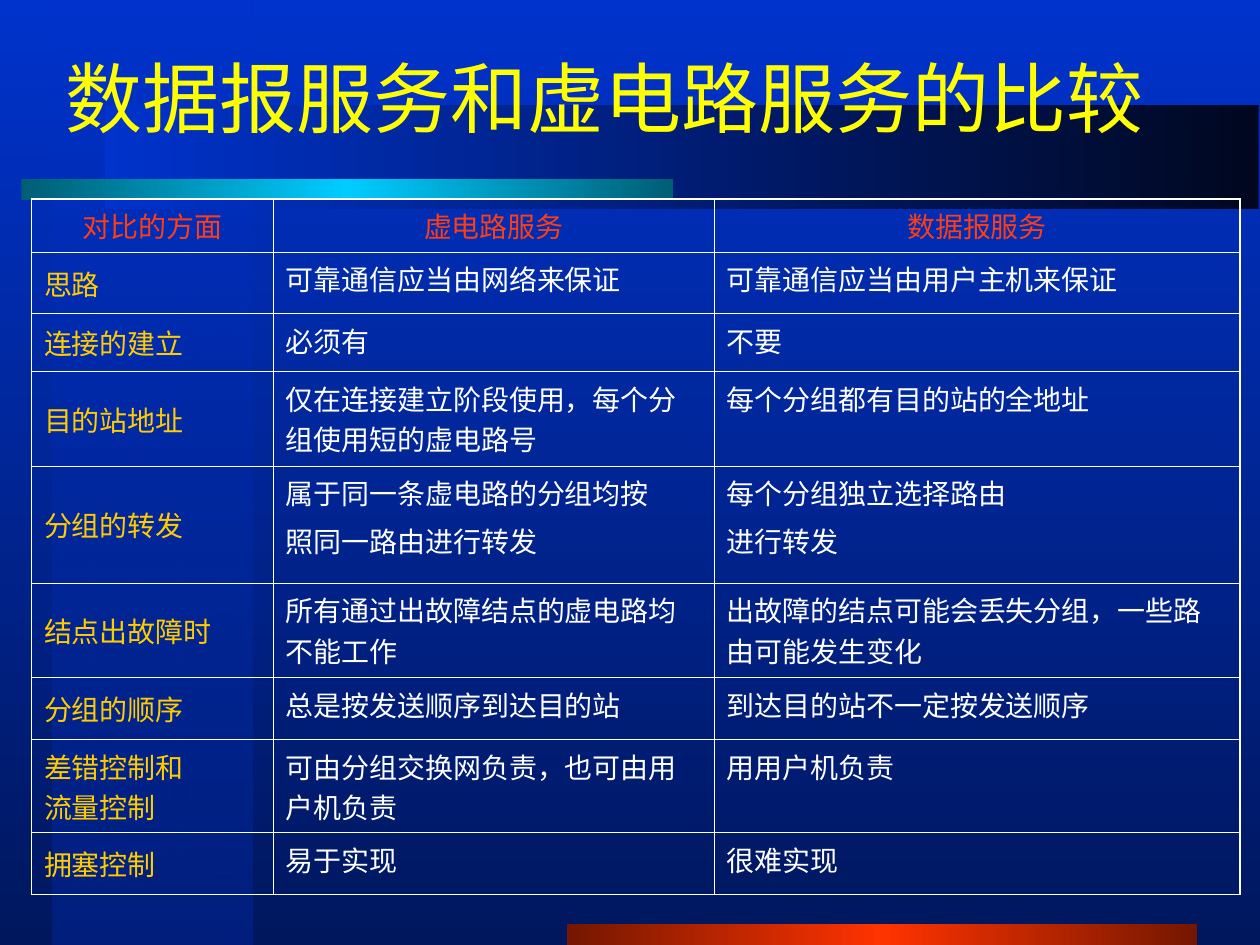
from lxml import etree
from pptx import Presentation
from pptx.dml.color import RGBColor
from pptx.enum.shapes import MSO_SHAPE
from pptx.enum.text import MSO_ANCHOR, PP_ALIGN
from pptx.oxml.ns import qn
from pptx.util import Inches, Pt

RECT = MSO_SHAPE.RECTANGLE
TOP, MIDDLE = MSO_ANCHOR.TOP, MSO_ANCHOR.MIDDLE
LEFT, CENTER = PP_ALIGN.LEFT, PP_ALIGN.CENTER
FONT = "Times New Roman"
BLUE, NAVY, WHITE = "0033CC", "00175E", "FFFFFF"
OUTER, INNER = 1.08, 0.45

BARS = [
    ((0.42, 0, 1.58, 7.5), [(0, BLUE, 50), (100, "001F7D", 100)], 270),
    ((4.5, 7.33, 5, 0.17),
     [(0, "751700", 100), (50, "FF3300", 100), (100, "751700", 100)], 180),
    ((0.83, 0.83, 9.16, 0.83), [(0, "00071F", 100), (100, BLUE, 100)], 180),
    ((0.17, 1.42, 5.17, 0.17),
     [(0, "005E75", 100), (50, "00CCFF", 100), (100, "005E75", 100)], 180),
]
COLUMNS = [1.92, 3.5, 4.17]
ROW_HEIGHTS = [0.42, 0.49, 0.46, 0.75, 0.93, 0.75, 0.49, 0.74, 0.49]
ROWS = [
    ("对比的方面", "虚电路服务", "数据报服务"),
    ("思路", "可靠通信应当由网络来保证", "可靠通信应当由用户主机来保证"),
    ("连接的建立", "必须有", "不要"),
    ("目的站地址", "仅在连接建立阶段使用，每个分组使用短的虚电路号",
     "每个分组都有目的站的全地址"),
    ("分组的转发", "属于同一条虚电路的分组均按\n照同一路由进行转发",
     "每个分组独立选择路由\n进行转发"),
    ("结点出故障时", "所有通过出故障结点的虚电路均不能工作",
     "出故障的结点可能会丢失分组，一些路由可能发生变化"),
    ("分组的顺序", "总是按发送顺序到达目的站", "到达目的站不一定按发送顺序"),
    ("差错控制和\n流量控制", "可由分组交换网负责，也可由用户机负责", "用用户机负责"),
    ("拥塞控制", "易于实现", "很难实现"),
]
HEADER = {"color": "FC3E18", "align": CENTER, "anchor": MIDDLE, "gap": 0}
ASPECT = {"color": "FFCC00", "align": LEFT, "anchor": MIDDLE, "gap": 0}
BODY = {"color": WHITE, "align": LEFT, "anchor": TOP, "gap": 4}


def rgb(value):
    return RGBColor.from_string(value)


def set_gradient(fill, holder, stops, angle):
    fill.gradient()
    fill.gradient_angle = angle
    stop_list = holder.find(".//" + qn("a:gsLst"))
    for stop in list(stop_list):
        stop_list.remove(stop)
    for position, color, opacity in stops:
        gs = etree.SubElement(stop_list, qn("a:gs"), pos=str(position * 1000))
        clr = etree.SubElement(gs, qn("a:srgbClr"), val=str(rgb(color)))
        if opacity < 100:
            etree.SubElement(clr, qn("a:alpha"), val=str(opacity * 1000))


def format_font(p, size, color):
    for name, value in {"name": FONT, "size": Pt(size), "bold": False}.items():
        setattr(p.font, name, value)
    p.font.color.rgb = rgb(color)


def add_backdrop(s):
    set_gradient(s.background.fill, s.element,
                 [(0, BLUE, 100), (100, NAVY, 100)], 270)
    for box, stops, angle in BARS:
        sp = s.shapes.add_shape(RECT, *map(Inches, box))
        sp.shadow.inherit = False
        sp.line.fill.background()
        set_gradient(sp.fill, sp.element, stops, angle)


def add_title(s, box, text):
    tf = s.shapes.add_textbox(*map(Inches, box)).text_frame
    for name, value in {"word_wrap": True, "vertical_anchor": MIDDLE}.items():
        setattr(tf, name, value)
    tf.text = text
    format_font(tf.paragraphs[0], 44, "FFFF01")


def set_borders(cell, widths):
    tc_pr = cell._tc.get_or_add_tcPr()
    for index, (side, width) in enumerate(widths.items()):
        ln = etree.Element(qn("a:ln" + side), w=str(int(Pt(width))))
        fill = etree.SubElement(ln, qn("a:solidFill"))
        etree.SubElement(fill, qn("a:srgbClr"), val=str(rgb(WHITE)))
        tc_pr.insert(index, ln)


def fill_cell(cell, text, style):
    cell.text = text
    cell.vertical_anchor = style["anchor"]
    cell.fill.background()
    for index, p in enumerate(cell.text_frame.paragraphs):
        p.alignment = style["align"]
        if index:
            p.space_before = Pt(style["gap"])
        format_font(p, 16, style["color"])


def add_comparison(s, box):
    last_row, last_col = len(ROWS) - 1, len(COLUMNS) - 1
    table = s.shapes.add_table(len(ROWS), len(COLUMNS), *map(Inches, box)).table
    table.first_row = table.horz_banding = False
    for column, width in zip(table.columns, COLUMNS):
        column.width = Inches(width)
    for r, (texts, height) in enumerate(zip(ROWS, ROW_HEIGHTS)):
        table.rows[r].height = Inches(height)
        for c, text in enumerate(texts):
            cell = table.cell(r, c)
            fill_cell(cell, text, HEADER if r == 0 else BODY if c else ASPECT)
            edges = {"L": c == 0, "R": c == last_col,
                     "T": r == 0, "B": r == last_row}
            set_borders(cell, {side: OUTER if outer else INNER
                               for side, outer in edges.items()})


def main():
    prs = Presentation()
    prs.slide_width, prs.slide_height = Inches(10), Inches(7.5)
    s = prs.slides.add_slide(prs.slide_layouts[6])
    add_backdrop(s)
    add_title(s, (0.42, 0.33, 9, 0.88), "数据报服务和虚电路服务的比较")
    add_comparison(s, (0.25, 1.58, sum(COLUMNS), sum(ROW_HEIGHTS)))
    prs.save("out.pptx")


if __name__ == "__main__":
    main()
